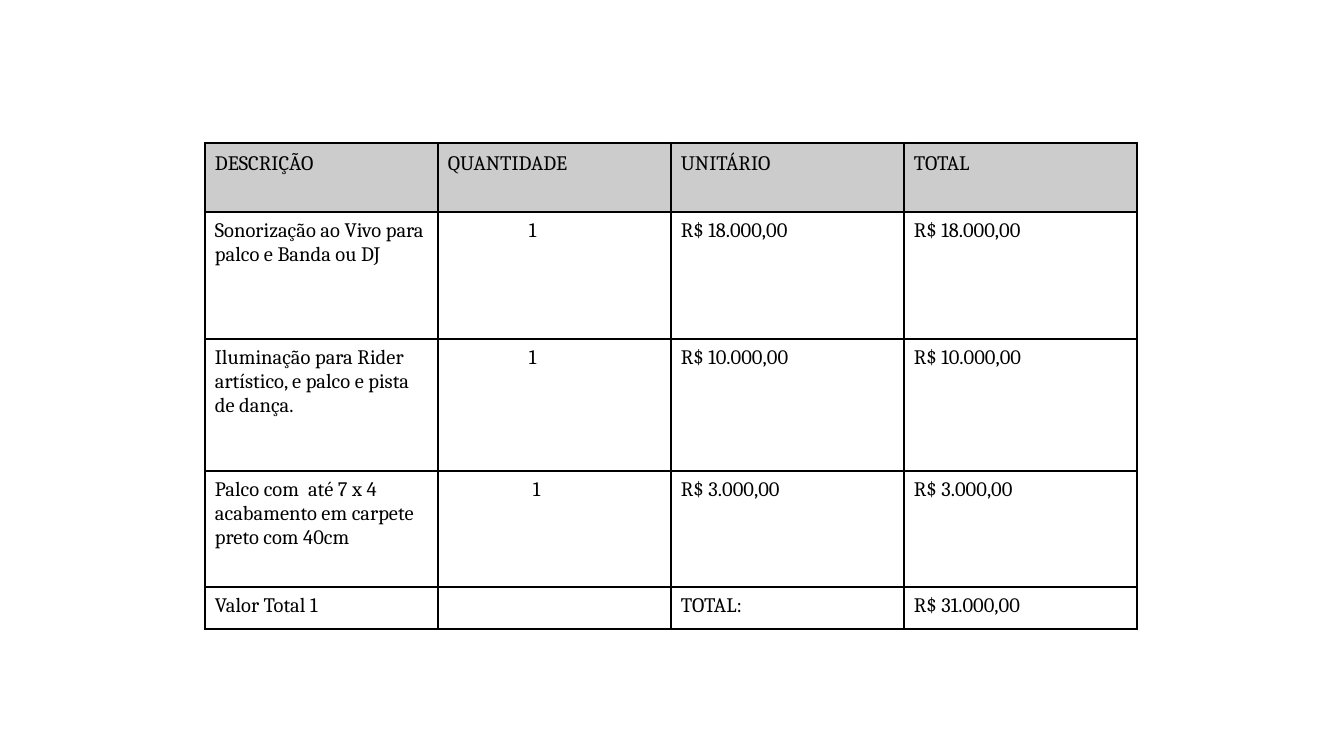
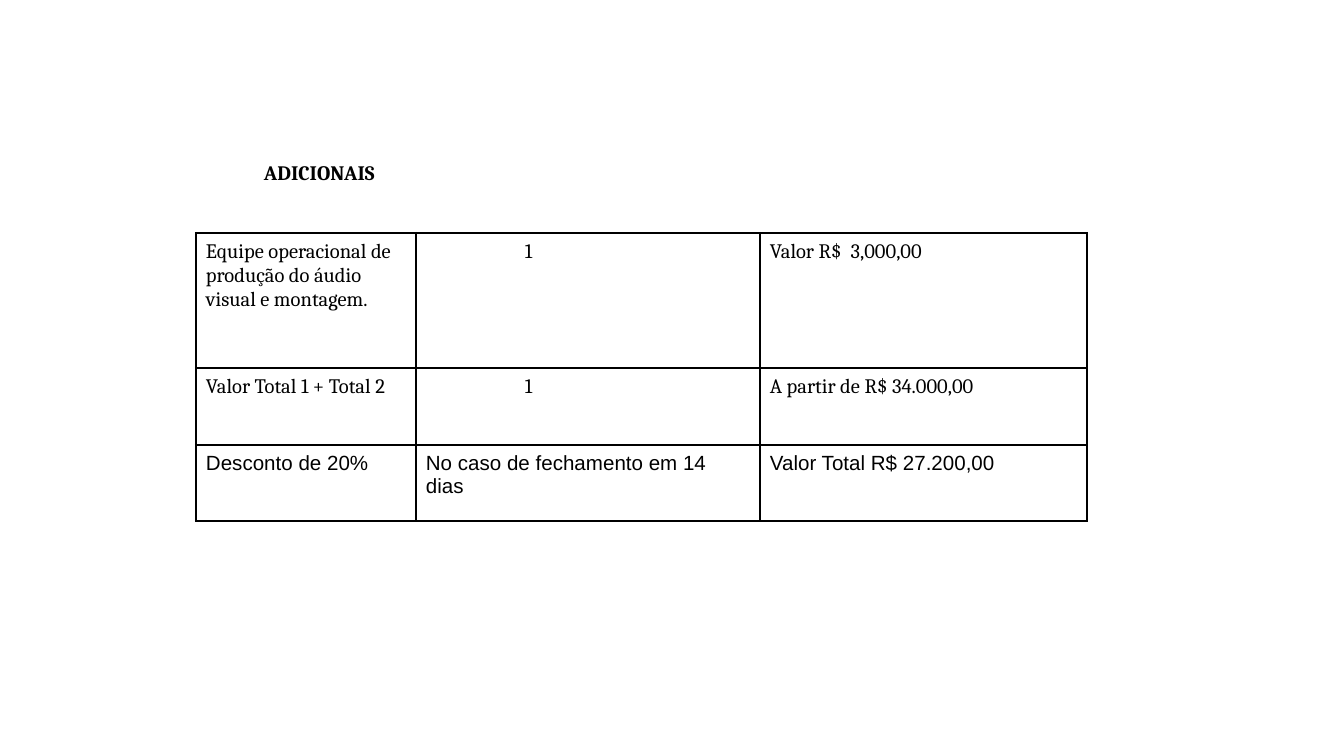
from dataclasses import dataclass

from lxml.etree import SubElement
from pptx import Presentation
from pptx.dml.color import RGBColor
from pptx.enum.text import MSO_ANCHOR
from pptx.oxml.ns import qn
from pptx.util import Pt


@dataclass(frozen=True)
class Theme:
    """Colours, fonts and type sizes shared by the slides."""
    ink: str = "000000"
    header: str = "CCCCCC"
    serif: str = "Cambria"
    sans: str = "Arial"
    size: int = 11
    border: float = 1.47
    spacing: float = 1.07


THEME = Theme()
EMU_PER_PX = 914400 / 134.4
SLIDE_SIZE = (1344, 756)
CELL_MARGINS = (10, 7)

HEADING = {"text": "ADICIONAIS", "box": (251, 128, 441, 87), "margin": 13}
SERVICES = {
    "origin": (205, 143),
    "columns": [233] * 4,
    "heights": [69, 127, 132, 116, 42],
    "indents": {(1, 1): 81, (2, 1): 81, (3, 1): 85},
    "header_rows": [0],
    "sans_rows": [],
    "rows": [
        ("DESCRIÇÃO", "QUANTIDADE", "UNITÁRIO", "TOTAL"),
        ("Sonorização ao Vivo para palco e Banda ou DJ", "1", "R$ 18.000,00", "R$ 18.000,00"),
        ("Iluminação para Rider  artístico, e palco e pista de dança.", "1",
         "R$ 10.000,00", "R$ 10.000,00"),
        ("Palco com  até 7 x 4 acabamento em carpete preto com 40cm", "1",
         "R$ 3.000,00", "R$ 3.000,00"),
        ("Valor Total 1", "", "TOTAL:", "R$ 31.000,00"),
    ],
}
EXTRAS = {
    "origin": (196, 233),
    "columns": [220, 344, 327],
    "heights": [135, 77, 76],
    "indents": {(0, 1): 99, (1, 1): 99},
    "header_rows": [],
    "sans_rows": [2],
    "rows": [
        ("Equipe operacional de produção do áudio visual e montagem.", "1", "Valor R$  3,000,00"),
        ("Valor Total 1 + Total 2", "1", "A partir de R$ 34.000,00"),
        ("Desconto de 20%", "No caso de fechamento em 14 dias", "Valor Total R$ 27.200,00"),
    ],
}


def px(length):
    return round(length * EMU_PER_PX)


def style_paragraph(paragraph, font_name, bold=False):
    font = paragraph.font
    font.name, font.size, font.bold = font_name, Pt(THEME.size), bold
    font.color.rgb = RGBColor.from_string(THEME.ink)


def add_borders(cell):
    properties = cell._tc.get_or_add_tcPr()
    for index, side in enumerate(("lnL", "lnR", "lnT", "lnB")):
        line = properties.makeelement(qn(f"a:{side}"), {"w": str(Pt(THEME.border))})
        fill = SubElement(line, qn("a:solidFill"))
        SubElement(fill, qn("a:srgbClr"), val=THEME.ink)
        properties.insert(index, line)


def fill_cell(cell, text, font_name, indent, is_header):
    side, top = map(px, CELL_MARGINS)
    cell.margin_left = cell.margin_right = side
    cell.margin_top = cell.margin_bottom = top
    paragraph = cell.text_frame.paragraphs[0]
    paragraph.text = text
    if indent:
        paragraph._p.get_or_add_pPr().set("marL", str(px(indent)))
    if is_header:
        paragraph.line_spacing = THEME.spacing
        cell.fill.solid()
        cell.fill.fore_color.rgb = RGBColor.from_string(THEME.header)
    else:
        cell.fill.background()
    style_paragraph(paragraph, font_name)
    if not text:
        SubElement(paragraph._p, qn("a:endParaRPr"), sz=str(THEME.size * 100))
    add_borders(cell)


def add_price_table(slide, content):
    columns, heights, rows = content["columns"], content["heights"], content["rows"]
    box = (*content["origin"], sum(columns), sum(heights))
    table = slide.shapes.add_table(len(rows), len(columns), *map(px, box)).table
    table.first_row = table.horz_banding = False
    for column, width in zip(table.columns, columns):
        column.width = px(width)
    for row_index, (row, height) in enumerate(zip(table.rows, heights)):
        row.height = px(height)
        font_name = THEME.sans if row_index in content["sans_rows"] else THEME.serif
        for column_index, text in enumerate(rows[row_index]):
            indent = content["indents"].get((row_index, column_index), 0)
            fill_cell(row.cells[column_index], text, font_name, indent,
                      row_index in content["header_rows"])


def add_heading(slide, heading):
    frame = slide.shapes.add_textbox(*map(px, heading["box"])).text_frame
    frame.word_wrap = True
    frame.vertical_anchor = MSO_ANCHOR.MIDDLE
    margin = px(heading["margin"])
    frame.margin_left = frame.margin_right = frame.margin_top = frame.margin_bottom = margin
    paragraph = frame.paragraphs[0]
    paragraph.text = heading["text"]
    paragraph.line_spacing = THEME.spacing
    style_paragraph(paragraph, THEME.serif, bold=True)


def main():
    """Build the price list and the extras slide."""
    presentation = Presentation()
    presentation.slide_width, presentation.slide_height = map(px, SLIDE_SIZE)
    blank = presentation.slide_layouts[6]
    add_price_table(presentation.slides.add_slide(blank), SERVICES)
    extras_slide = presentation.slides.add_slide(blank)
    add_heading(extras_slide, HEADING)
    add_price_table(extras_slide, EXTRAS)
    presentation.save("out.pptx")


if __name__ == "__main__":
    main()
